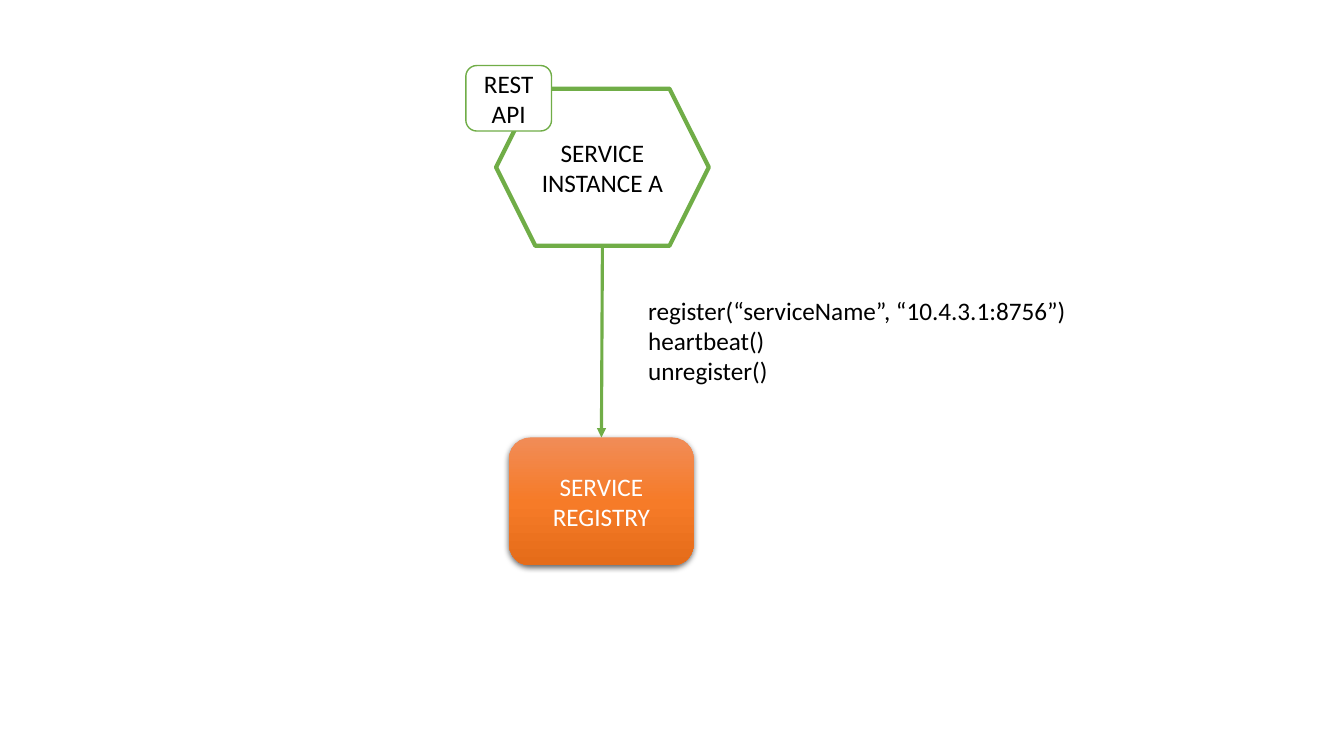
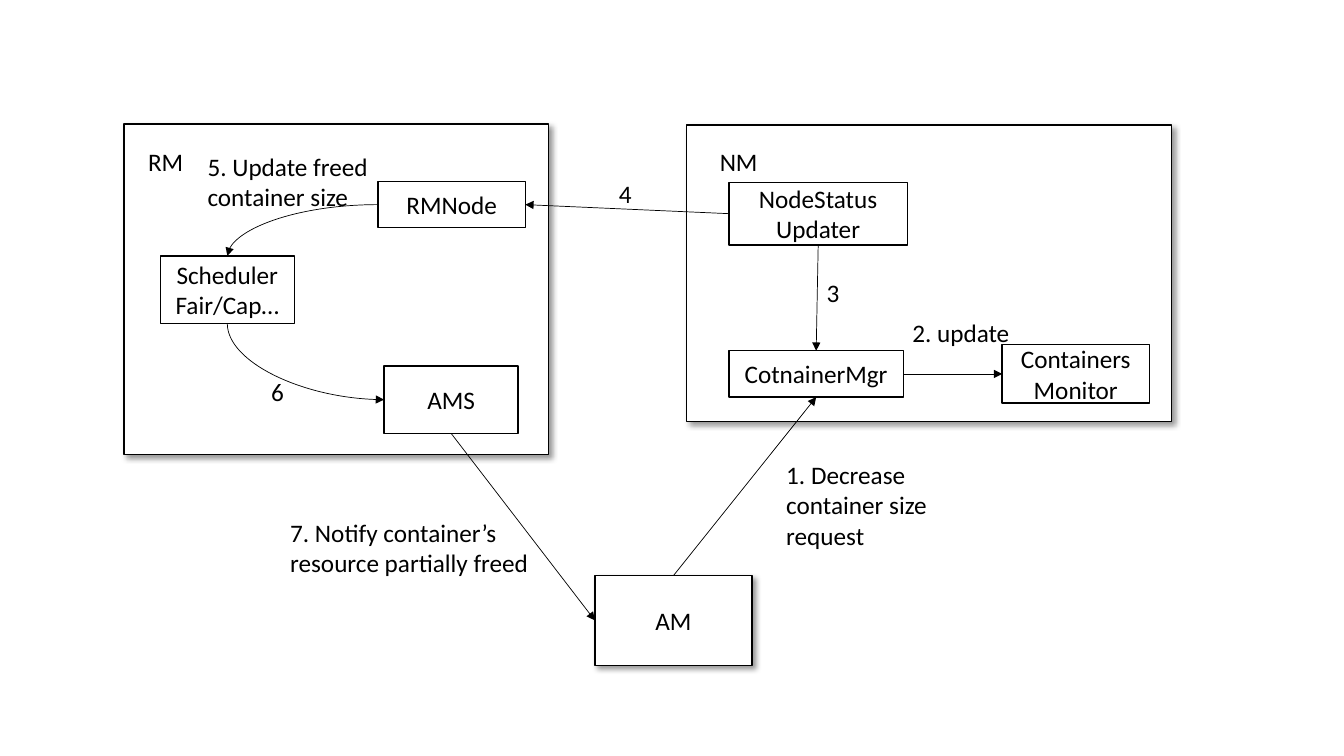
from collections import namedtuple
from copy import deepcopy
from dataclasses import dataclass

from lxml.etree import SubElement
from pptx import Presentation
from pptx.dml.color import RGBColor
from pptx.enum.shapes import MSO_CONNECTOR, MSO_SHAPE
from pptx.enum.text import MSO_ANCHOR, MSO_AUTO_SIZE, PP_ALIGN
from pptx.oxml.ns import qn
from pptx.util import Inches, Pt

Shadow = namedtuple("Shadow", "alpha blur distance angle")
Link = namedtuple("Link", "source source_side target target_side curved", defaults=[False])


@dataclass(frozen=True)
class Theme:
    font: str = "Calibri"
    size: float = 18
    ink: str = "000000"
    paper: str = "FFFFFF"
    green: str = "70AD47"
    orange: tuple = ((0, "F18C57"), (0.5, "F67B28"), (1, "E56C19"))
    outline: float = 1
    flow: float = 0.5
    panel_shadow: Shadow = Shadow(40, 4, 3, 45)
    registry_shadow: Shadow = Shadow(63, 4.5, 1.5, 90)


THEME = Theme()
SIDES = ("top", "left", "bottom", "right")

INSTANCE = ("SERVICE INSTANCE A", (4.92, 0.88, 2.11, 1.56))
API = ("REST\nAPI", (4.62, 0.65, 0.85, 0.65))
REGISTRY = ("SERVICE REGISTRY", (5.05, 4.34, 1.83, 1.27))
CALLS = (
    "register(“serviceName”, “10.4.3.1:8756”)\nheartbeat()\nunregister()",
    (6.33, 2.88, 4.67, 1.01),
)

PANELS = {
    "AM": ("AM", (5.9, 5.71, 1.56, 0.89)),
    "RM": ("", (1.23, 1.23, 4.21, 3.28)),
    "NM": ("", (6.81, 1.24, 4.81, 2.94)),
}
PARTS = {
    "AMS": ("AMS", (3.81, 3.63, 1.33, 0.67)),
    "RMNode": ("RMNode", (3.75, 1.8, 1.46, 0.46)),
    "Scheduler": ("Scheduler\nFair/Cap…", (1.59, 2.54, 1.33, 0.67)),
    "Updater": ("NodeStatus\nUpdater", (7.23, 1.81, 1.77, 0.62)),
    "Manager": ("CotnainerMgr", (7.23, 3.48, 1.73, 0.46)),
    "Monitor": ("Containers\nMonitor", (9.94, 3.42, 1.46, 0.58)),
}
FLOWS = [
    Link("AM", "top", "Manager", "bottom"),
    Link("Manager", "right", "Monitor", "left"),
    Link("Updater", "bottom", "Manager", "top"),
    Link("Updater", "left", "RMNode", "right"),
    Link("RMNode", "left", "Scheduler", "top", True),
    Link("Scheduler", "bottom", "AMS", "left", True),
    Link("AMS", "bottom", "AM", "left"),
]
LABELS = [
    ("RM", (1.37, 1.4, 0.89, 0.4)),
    ("NM", (7.04, 1.4, 0.89, 0.4)),
    ("1. Decrease container size request", (7.7, 4.51, 1.63, 1.01)),
    ("2. update", (8.95, 3.1, 1.63, 0.4)),
    ("3", (8.1, 2.7, 1.63, 0.4)),
    ("4", (6.04, 1.72, 1.63, 0.4)),
    ("5. Update freed container size", (1.96, 1.45, 2.28, 0.71)),
    ("6", (2.59, 3.68, 1.63, 0.4)),
    ("7. Notify container’s resource partially freed", (2.78, 5.08, 2.66, 0.71)),
]


def rgb(color):
    return RGBColor.from_string(color)


def write(frame, text, *, color=THEME.ink, align=PP_ALIGN.LEFT, anchor=MSO_ANCHOR.TOP):
    frame.word_wrap = True
    frame.vertical_anchor = anchor
    frame.text = text
    for paragraph in frame.paragraphs:
        paragraph.alignment = align
        font = paragraph.font
        font.name, font.size = THEME.font, Pt(THEME.size)
        font.color.rgb = rgb(color)


def add_label(shapes, text, bounds):
    label = shapes.add_textbox(*map(Inches, bounds))
    write(label.text_frame, text)
    label.text_frame.auto_size = MSO_AUTO_SIZE.SHAPE_TO_FIT_TEXT


def cast_shadow(shape, shadow):
    effects = shape._element.spPr.find(qn("a:effectLst"))
    outer = SubElement(
        effects, qn("a:outerShdw"), blurRad=str(int(Pt(shadow.blur))),
        dist=str(int(Pt(shadow.distance))), dir=str(shadow.angle * 60000), rotWithShape="0",
    )
    tone = SubElement(outer, qn("a:srgbClr"), val=THEME.ink)
    SubElement(tone, qn("a:alpha"), val=str(shadow.alpha * 1000))


def paint_gradient(shape, stops):
    shape.fill.gradient()
    shape.fill.gradient_angle = 270
    stop_list = shape._element.spPr.find(qn("a:gradFill")).find(qn("a:gsLst"))
    while len(stop_list) < len(stops):
        stop_list.append(deepcopy(stop_list[0]))
    for stop, (position, color) in zip(shape.fill.gradient_stops, stops):
        stop.position = position
        stop.color.rgb = rgb(color)


def add_box(shapes, text, bounds, *, kind=MSO_SHAPE.RECTANGLE, line=THEME.ink,
            width=THEME.outline, color=THEME.ink, gradient=None, shadow=None):
    box = shapes.add_shape(kind, *map(Inches, bounds))
    box.shadow.inherit = False
    if gradient:
        paint_gradient(box, gradient)
        box.line.fill.background()
    else:
        box.fill.solid()
        box.fill.fore_color.rgb = rgb(THEME.paper)
        box.line.color.rgb = rgb(line)
        box.line.width = Pt(width)
    if shadow:
        cast_shadow(box, shadow)
    if text:
        write(box.text_frame, text, color=color, align=PP_ALIGN.CENTER,
              anchor=MSO_ANCHOR.MIDDLE)
    return box


def side_point(shape, side):
    across = {"left": 0, "right": 1}.get(side, 0.5)
    down = {"top": 0, "bottom": 1}.get(side, 0.5)
    return (int(shape.left + across * shape.width), int(shape.top + down * shape.height))


def bend(arrow, starts_vertical):
    arrow._element.spPr.find(qn("a:prstGeom")).set("prst", "curvedConnector2")
    if starts_vertical:
        center_x = arrow.left + arrow.width // 2
        center_y = arrow.top + arrow.height // 2
        arrow.width, arrow.height = arrow.height, arrow.width
        arrow.left = center_x - arrow.width // 2
        arrow.top = center_y - arrow.height // 2
        frame = arrow._element.spPr.find(qn("a:xfrm"))
        frame.set("rot", str(270 * 60000))
        frame.set("flipH", "1")


def add_arrow(shapes, source, source_side, target, target_side, *, curved=False,
              glued=True, color=THEME.ink, width=THEME.flow):
    kind = MSO_CONNECTOR.CURVE if curved else MSO_CONNECTOR.STRAIGHT
    arrow = shapes.add_connector(
        kind, *side_point(source, source_side), *side_point(target, target_side))
    if curved:
        bend(arrow, source_side == "bottom")
    elif glued:
        arrow.begin_connect(source, SIDES.index(source_side))
        arrow.end_connect(target, SIDES.index(target_side))
    arrow.line.color.rgb = rgb(color)
    arrow.line.width = Pt(width)
    properties = arrow._element.spPr
    SubElement(properties.find(qn("a:ln")), qn("a:tailEnd"), type="triangle")
    SubElement(properties, qn("a:effectLst"))


def build_registration(shapes):
    service = shapes.add_group_shape().shapes
    instance = add_box(service, *INSTANCE, kind=MSO_SHAPE.HEXAGON, line=THEME.green, width=3)
    add_box(service, *API, kind=MSO_SHAPE.ROUNDED_RECTANGLE, line=THEME.green)
    registry = add_box(shapes, *REGISTRY, kind=MSO_SHAPE.ROUNDED_RECTANGLE,
                       color=THEME.paper, gradient=THEME.orange, shadow=THEME.registry_shadow)
    add_arrow(shapes, instance, "bottom", registry, "top", glued=False,
              color=THEME.green, width=2.25)
    add_label(shapes, *CALLS)


def build_container_resize(shapes):
    boxes = {key: add_box(shapes, *panel, shadow=THEME.panel_shadow)
             for key, panel in PANELS.items()}
    boxes |= {key: add_box(shapes, *part) for key, part in PARTS.items()}
    for flow in FLOWS:
        add_arrow(shapes, boxes[flow.source], flow.source_side,
                  boxes[flow.target], flow.target_side, curved=flow.curved)
    for label in LABELS:
        add_label(shapes, *label)


def main():
    deck = Presentation()
    deck.slide_width, deck.slide_height = Inches(13.33), Inches(7.5)
    for build in (build_registration, build_container_resize):
        build(deck.slides.add_slide(deck.slide_layouts[6]).shapes)
    deck.save("out.pptx")


if __name__ == "__main__":
    main()
